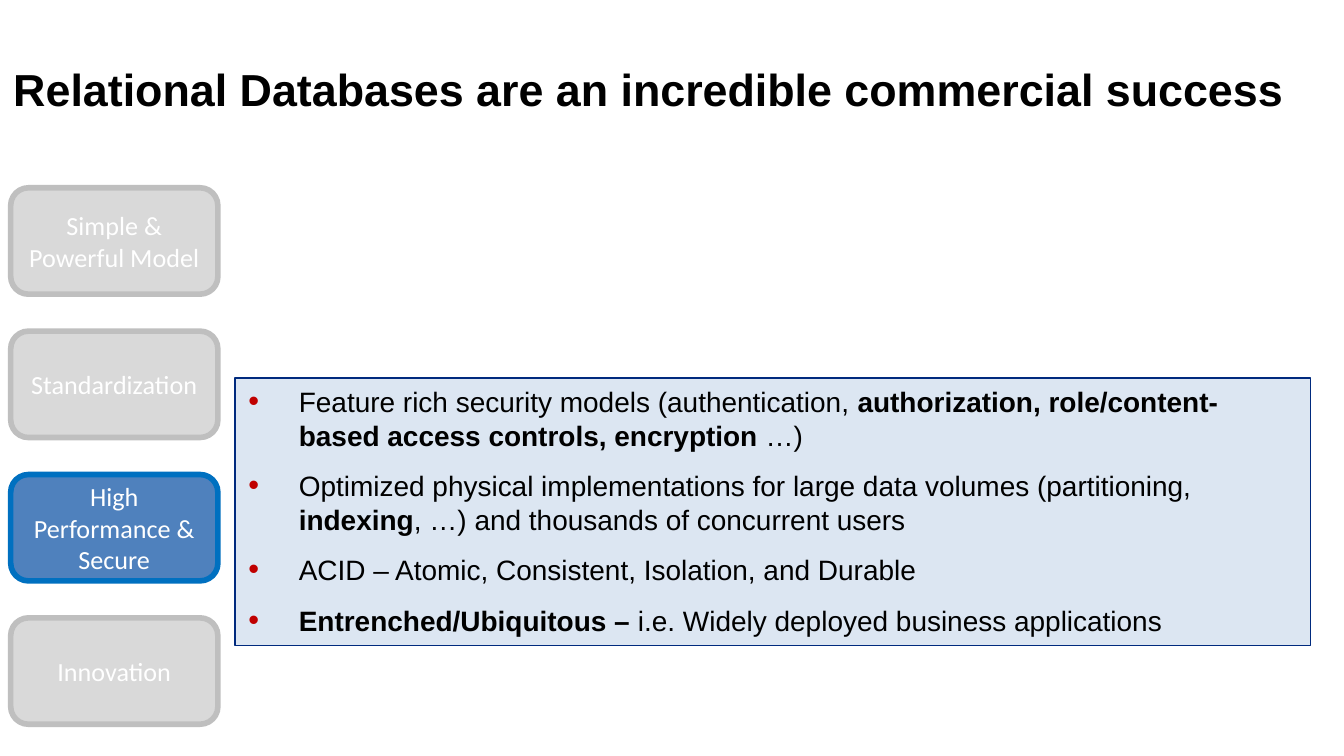
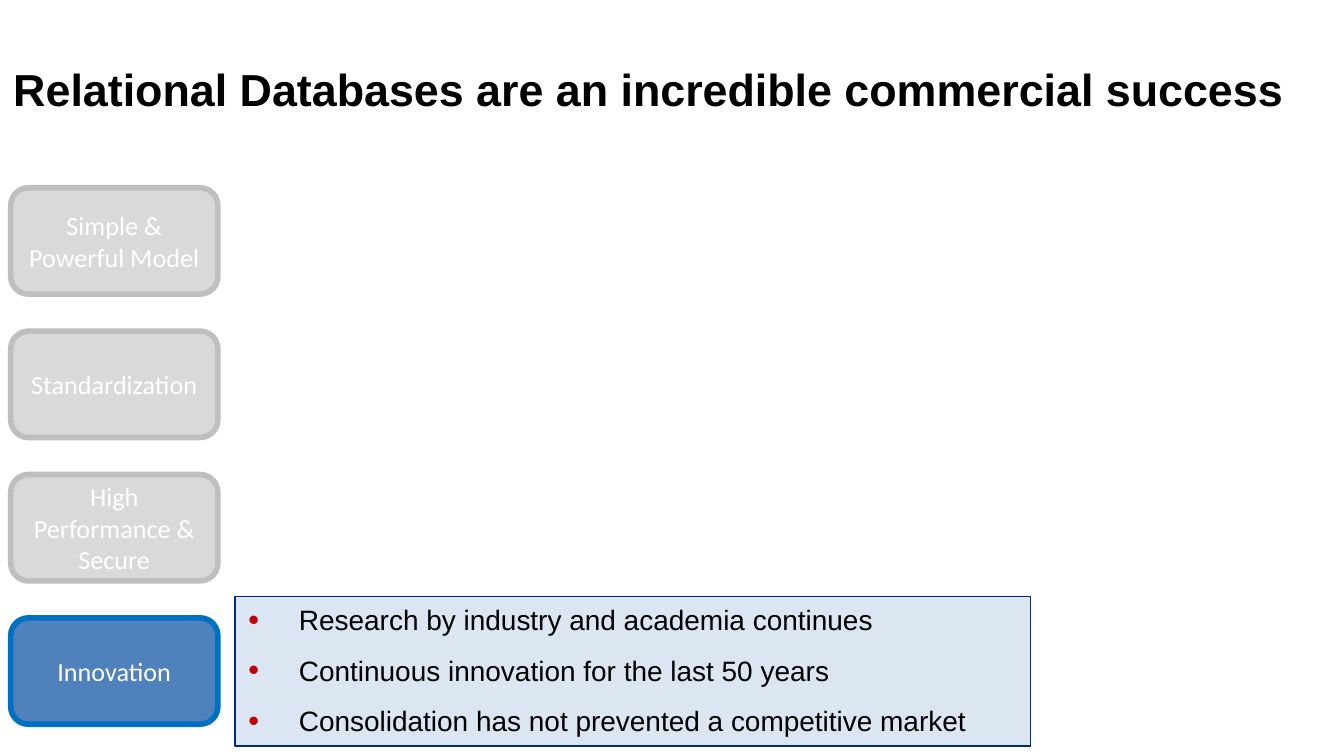
from lxml.etree import SubElement
from pptx import Presentation
from pptx.dml.color import RGBColor
from pptx.enum.shapes import MSO_SHAPE as Shape
from pptx.enum.text import MSO_ANCHOR as Anchor, MSO_AUTO_SIZE as AutoSize, PP_ALIGN as Align
from pptx.oxml.ns import qn
from pptx.util import Pt

BLACK = RGBColor(0x00, 0x00, 0x00)
WHITE = RGBColor(0xFF, 0xFF, 0xFF)
PANEL_FILL = RGBColor(0xDC, 0xE6, 0xF2)
PANEL_LINE = RGBColor(0x00, 0x2A, 0x7E)
BULLET_RED = RGBColor(0xC0, 0x00, 0x00)
ACTIVE_FILL = RGBColor(0x4F, 0x81, 0xBD)
ACTIVE_LINE = RGBColor(0x00, 0x70, 0xC0)
IDLE_FILL = RGBColor(0xD9, 0xD9, 0xD9)
IDLE_LINE = RGBColor(0xBF, 0xBF, 0xBF)

TITLE = "Relational Databases are an incredible commercial success"
TITLE_BOX = (0, 34.5, 721.5, 31.5)
TOPICS = ["Simple & Powerful Model", "Standardization", "High Performance & Secure", "Innovation"]
TOPICS_BOX = (5.75, 100.6, 111, 287.4)
TOPIC_HEIGHT = 57

# Text between asterisks is bold.
PANELS = [
    ("High Performance & Secure", (126, 202.5, 576, 143.25), [
        "Feature rich security models (authentication, "
        "*authorization, role/content-based access controls, encryption* …)",
        "Optimized physical implementations for large data volumes (partitioning, "
        "*indexing*, …) and thousands of concurrent users",
        "ACID – Atomic, Consistent, Isolation, and Durable",
        "*Entrenched/Ubiquitous – *i.e. Widely deployed business applications",
    ]),
    ("Innovation", (126, 319.5, 426, 80.25), [
        "Research by industry and academia continues",
        "Continuous innovation for the last 50 years",
        "Consolidation has not prevented a competitive market",
    ]),
]


def set_font(paragraph, name, size, color, bold=False):
    font = paragraph.font
    font.name, font.size, font.bold = name, Pt(size), bold
    font.color.rgb = color


def add_filled_shape(slide, kind, box, fill, line, line_width):
    shape = slide.shapes.add_shape(kind, *map(Pt, box))
    shape.shadow.inherit = False
    shape.fill.solid()
    shape.fill.fore_color.rgb = fill
    shape.line.color.rgb = line
    shape.line.width = Pt(line_width)
    shape.text_frame.word_wrap = True
    return shape


def add_bullet(paragraph, indent=27):
    properties = paragraph._p.get_or_add_pPr()
    properties.set("marL", str(Pt(indent)))
    properties.set("indent", str(-Pt(indent)))
    color = SubElement(properties, qn("a:buClr"))
    SubElement(color, qn("a:srgbClr"), val=str(BULLET_RED))
    SubElement(properties, qn("a:buSzPct"), val="110000")
    SubElement(properties, qn("a:buFont"), typeface="Arial")
    SubElement(properties, qn("a:buChar"), char="•")


def add_title(slide, box):
    frame = slide.shapes.add_textbox(*map(Pt, box)).text_frame
    frame.word_wrap = True
    frame.auto_size = AutoSize.SHAPE_TO_FIT_TEXT
    paragraph = frame.paragraphs[0]
    paragraph.text = TITLE
    paragraph.line_spacing = Pt(24)
    set_font(paragraph, "Arial", 24, BLACK, bold=True)


def add_topics(slide, box, active):
    """Stack the topic buttons evenly in the box and highlight the active one."""
    left, top, width, height = box
    pitch = (height - TOPIC_HEIGHT) / (len(TOPICS) - 1)
    for row, topic in enumerate(TOPICS):
        fill, line = (ACTIVE_FILL, ACTIVE_LINE) if topic == active else (IDLE_FILL, IDLE_LINE)
        button_box = (left, top + row * pitch, width, TOPIC_HEIGHT)
        button = add_filled_shape(slide, Shape.ROUNDED_RECTANGLE, button_box, fill, line, 3)
        button.text_frame.vertical_anchor = Anchor.MIDDLE
        paragraph = button.text_frame.paragraphs[0]
        paragraph.text = topic
        paragraph.alignment = Align.CENTER
        set_font(paragraph, "Calibri", 14, WHITE)


def add_panel(slide, box, points):
    panel = add_filled_shape(slide, Shape.RECTANGLE, box, PANEL_FILL, PANEL_LINE, 0.75)
    frame = panel.text_frame
    frame.auto_size = AutoSize.SHAPE_TO_FIT_TEXT
    frame.vertical_anchor = Anchor.TOP
    for number, point in enumerate(points):
        paragraph = frame.add_paragraph() if number else frame.paragraphs[0]
        paragraph.alignment = Align.LEFT
        paragraph.space_after = Pt(9)
        add_bullet(paragraph)
        set_font(paragraph, "Arial", 15, BLACK)
        for part, text in enumerate(point.split("*")):
            if text:
                run = paragraph.add_run()
                run.text = text
                if part % 2:
                    run.font.bold = True


def add_topic_slide(presentation, active, panel_box, points):
    slide = presentation.slides.add_slide(presentation.slide_layouts[6])
    add_panel(slide, panel_box, points)
    add_title(slide, TITLE_BOX)
    add_topics(slide, TOPICS_BOX, active)


def main():
    presentation = Presentation()
    presentation.slide_width, presentation.slide_height = Pt(720), Pt(405)
    for active, panel_box, points in PANELS:
        add_topic_slide(presentation, active, panel_box, points)
    presentation.save("out.pptx")


if __name__ == "__main__":
    main()
